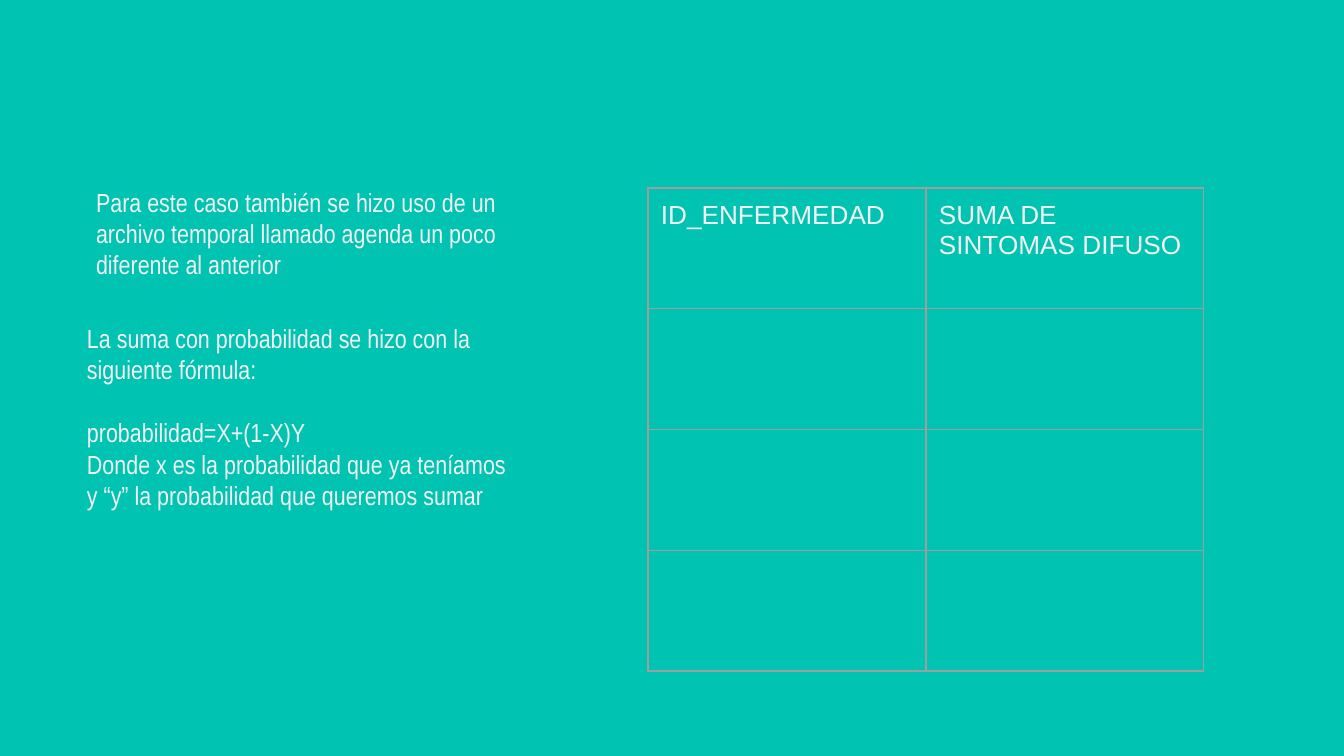
from lxml.etree import SubElement
from pptx import Presentation
from pptx.dml.color import RGBColor
from pptx.enum.text import MSO_ANCHOR
from pptx.oxml.ns import qn
from pptx.util import Emu, Pt

EMU_PER_PX = 914400 / 134.4
TEAL, PALE, GREY = "00C3B1", "F3F3F3", "9E9E9E"
INSET = 13
BORDER_WIDTH = Pt(0.75)
TABLE_ROWS = [("ID_ENFERMEDAD", "SUMA DE SINTOMAS DIFUSO")] + [("", "")] * 3
USE_CASE = [
    ("Para este caso también se hizo uso de un archivo temporal llamado "
     "agenda un poco diferente al anterior", 0),
]
FORMULA = [
    ("La suma con probabilidad se hizo con la siguiente fórmula:", 0),
    ("probabilidad=X+(1-X)Y", 17),
    ("Donde x es la probabilidad que ya teníamos y “y” la probabilidad "
     "que queremos sumar", 0),
]


def px(length):
    return Emu(round(length * EMU_PER_PX))


def color(value):
    return RGBColor.from_string(value)


def set_format(target, values):
    for name, value in values.items():
        setattr(target, name, value)


def set_margins(target):
    sides = ("left", "top", "right", "bottom")
    set_format(target, {f"margin_{side}": px(INSET) for side in sides})


def write(para, text, font_name):
    span = para.add_run()
    span.text = text
    set_format(span.font, {"name": font_name, "size": Pt(14)})
    span.font.color.rgb = color(PALE)


def add_borders(cell):
    properties = cell._tc.get_or_add_tcPr()
    for index, side in enumerate(("lnL", "lnR", "lnT", "lnB")):
        line = properties.makeelement(qn(f"a:{side}"), {"w": str(BORDER_WIDTH)})
        fill = SubElement(line, qn("a:solidFill"))
        SubElement(fill, qn("a:srgbClr"), val=GREY)
        properties.insert(index, line)


def add_text(page, box, paragraphs):
    frame = page.shapes.add_textbox(*map(px, box)).text_frame
    set_format(frame, {"word_wrap": True, "vertical_anchor": MSO_ANCHOR.TOP})
    set_margins(frame)
    for index, (text, gap) in enumerate(paragraphs):
        para = frame.add_paragraph() if index else frame.paragraphs[0]
        set_format(para, {"space_before": Pt(gap)})
        write(para, text, "Arial Narrow")


def add_symptom_table(page, box):
    left, top, width, height = box
    row_count, column_count = len(TABLE_ROWS), len(TABLE_ROWS[0])
    table = page.shapes.add_table(row_count, column_count, *map(px, box)).table
    set_format(table, {"first_row": False, "horz_banding": False})
    for column in table.columns:
        column.width = px(width / column_count)
    for row, texts in zip(table.rows, TABLE_ROWS):
        row.height = px(height / row_count)
        for cell, text in zip(row.cells, texts):
            set_margins(cell)
            cell.fill.background()
            add_borders(cell)
            if text:
                write(cell.text_frame.paragraphs[0], text, "Arial")


def main():
    deck = Presentation()
    set_format(deck, {"slide_width": px(1344), "slide_height": px(756)})
    page = deck.slides.add_slide(deck.slide_layouts[6])
    page.background.fill.solid()
    page.background.fill.fore_color.rgb = color(TEAL)
    add_text(page, (83, 173, 440, 122), USE_CASE)
    add_symptom_table(page, (648, 188, 556, 483))
    add_text(page, (74, 309, 458, 281), FORMULA)
    deck.save("out.pptx")


if __name__ == "__main__":
    main()
